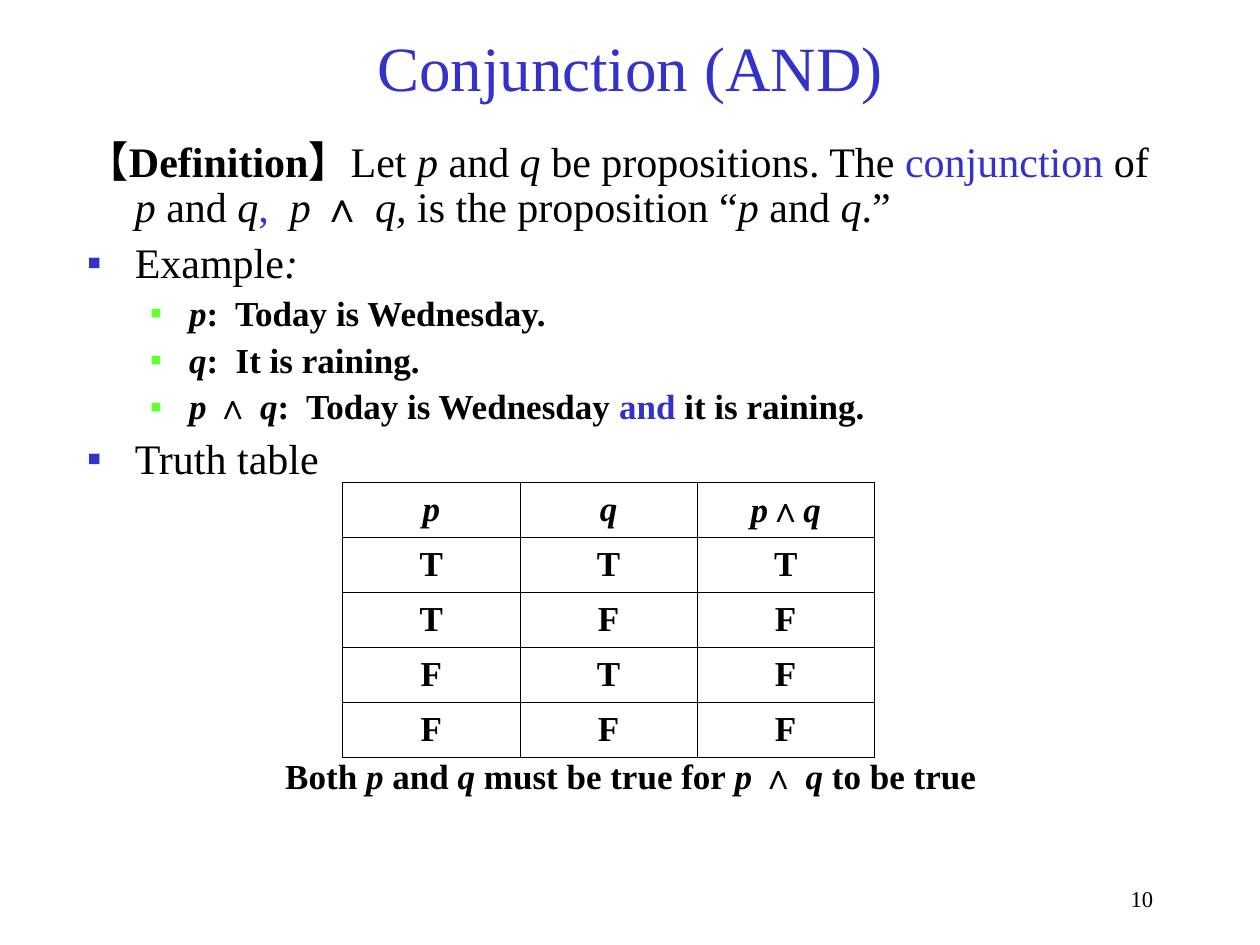
from lxml import etree
from pptx import Presentation
from pptx.dml.color import RGBColor
from pptx.enum.text import MSO_ANCHOR, MSO_AUTO_SIZE, PP_ALIGN
from pptx.oxml.ns import qn
from pptx.util import Inches, Pt

BLACK = RGBColor(0x00, 0x00, 0x00)
WHITE = RGBColor(0xFF, 0xFF, 0xFF)
BLUE = RGBColor(0x33, 0x33, 0xCC)
GREEN = RGBColor(0x66, 0xFF, 0x33)
SERIF, SANS = "Times New Roman", "Arial"
CENTER, RIGHT = PP_ALIGN.CENTER, PP_ALIGN.RIGHT
MIDDLE, TOP = MSO_ANCHOR.MIDDLE, MSO_ANCHOR.TOP
NO_FIT = MSO_AUTO_SIZE.NONE

# Run formats
VAR = {"italic": True}
BOLD = {"bold": True}
HUE = {"color": BLUE}
SIGN = {"font": SANS, "bold": True}


def put(par, text, size=24, font=SERIF, color=BLACK, bold=False, italic=False):
    run = par.add_run()
    run.text = text
    run.font.size = Pt(size)
    run.font.name = font
    run.font.color.rgb = color
    run.font.bold = bold
    run.font.italic = italic


def fill(par, runs, **base):
    for text, style in runs:
        put(par, text, **{**base, **style})


def place(shape, box):
    shape.left, shape.top, shape.width, shape.height = map(Inches, box)


def mark(par, indent, hang, color=None):
    """Set the indents and the square bullet, or no bullet without a colour."""
    props = par._p.get_or_add_pPr()
    props.set("marL", str(Inches(indent)))
    props.set("indent", str(-Inches(hang)))
    if color is None:
        etree.SubElement(props, qn("a:buNone"))
        return
    tint = etree.SubElement(props, qn("a:buClr"))
    etree.SubElement(tint, qn("a:srgbClr"), val=str(color))
    etree.SubElement(props, qn("a:buFont"), typeface=SERIF)
    etree.SubElement(props, qn("a:buChar"), char="▪")


def add_title(slide, box):
    title = slide.shapes.title
    place(title, box)
    frame = title.text_frame
    frame.auto_size = NO_FIT
    frame.vertical_anchor = MIDDLE
    par = frame.paragraphs[0]
    par.alignment = CENTER
    put(par, "Conjunction (AND)", size=36, color=BLUE)


def add_body(slide, box):
    body = slide.placeholders[1]
    place(body, box)
    frame = body.text_frame
    frame.auto_size = NO_FIT
    frame.vertical_anchor = TOP
    define = [
        ("【Definition】", BOLD), ("Let ", {}), ("p ", VAR), ("and", {}),
        (" q ", VAR), ("be propositions. The ", {}), ("conjunction ", HUE),
        ("of ", {}), ("p ", VAR), ("and", {}), (" q", VAR), (",  ", HUE),
        ("p ", VAR), ("∧ ", SIGN), ("q, ", VAR),
        ("is the proposition “", {}), ("p", VAR), (" and ", {}), ("q", VAR),
        (".”", {}),
    ]
    both = [
        ("p ", VAR), ("∧ ", SIGN), ("q", VAR), (":  Today is Wednesday ", {}),
        ("and", HUE), (" it is raining.", {}),
    ]
    close = [
        ("Both ", {}), ("p", VAR), (" and ", {}), ("q", VAR),
        (" must be true for ", {}), ("p ", VAR), ("∧ ", SIGN), ("q ", VAR),
        ("to be true", {}),
    ]
    # Level, bullet colour, space before, runs
    lines = [
        (0, None, 0, define),
        (0, BLUE, 6, [("Example", {}), (":", VAR)]),
        (1, GREEN, 5, [("p", VAR), (":  Today is Wednesday.", {})]),
        (1, GREEN, 5, [("q", VAR), (":  It is raining.", {})]),
        (1, GREEN, 5, both),
        (0, BLUE, 6, [("Truth table", {})]),
    ]
    for i, (level, color, space, runs) in enumerate(lines):
        par = frame.add_paragraph() if i else frame.paragraphs[0]
        par.level = level
        mark(par, *((0.81, 0.31) if level else (0.38, 0.38)), color)
        par.line_spacing = 0.9
        par.space_before = Pt(space)
        fill(par, runs, size=20 if level else 24, bold=bool(level))

    # Closing line, set below the table
    par = frame.add_paragraph()
    mark(par, 0.38, 0.38)
    par.alignment = CENTER
    par.line_spacing = 0.9
    par.space_before = Pt(158)
    fill(par, close, size=20, bold=True)


def edge(cell):
    props = cell._tc.get_or_add_tcPr()
    for i, side in enumerate(("lnL", "lnR", "lnT", "lnB")):
        line = etree.Element(qn("a:" + side), w=str(Pt(0.45)))
        paint = etree.SubElement(line, qn("a:solidFill"))
        etree.SubElement(paint, qn("a:srgbClr"), val=str(BLACK))
        props.insert(i, line)


def add_truth(slide, box):
    heads = [[("p", VAR)], [("q", VAR)], [("p", VAR), ("∧", SIGN), ("q", VAR)]]
    rows = [heads]
    for p in (True, False):
        for q in (True, False):
            rows.append([[("T" if v else "F", {})] for v in (p, q, p and q)])
    frame = slide.shapes.add_table(len(rows), len(heads), *map(Inches, box))
    table = frame.table
    table.first_row = table.horz_banding = False
    for r, row in enumerate(rows):
        for c, runs in enumerate(row):
            cell = table.cell(r, c)
            cell.fill.solid()
            cell.fill.fore_color.rgb = WHITE
            cell.vertical_anchor = MIDDLE
            edge(cell)
            par = cell.text_frame.paragraphs[0]
            par.alignment = CENTER
            fill(par, runs, size=20, bold=True)


def add_number(slide, box):
    frame = slide.shapes.add_textbox(*map(Inches, box)).text_frame
    frame.word_wrap = True
    par = frame.paragraphs[0]
    par.alignment = RIGHT
    par.line_spacing = 0.9
    put(par, "10", size=12.9)


def main():
    deck = Presentation()
    deck.slide_width, deck.slide_height = Inches(10), Inches(7.5)
    slide = deck.slides.add_slide(deck.slide_layouts[1])
    add_title(slide, (0.75, 0.13, 8.5, 0.79))
    add_body(slide, (0.59, 1.07, 8.83, 5.52))
    add_truth(slide, (2.72, 3.83, 4.22, 2.18))
    add_number(slide, (7.67, 7, 1.58, 0.33))
    deck.save("out.pptx")


if __name__ == "__main__":
    main()
